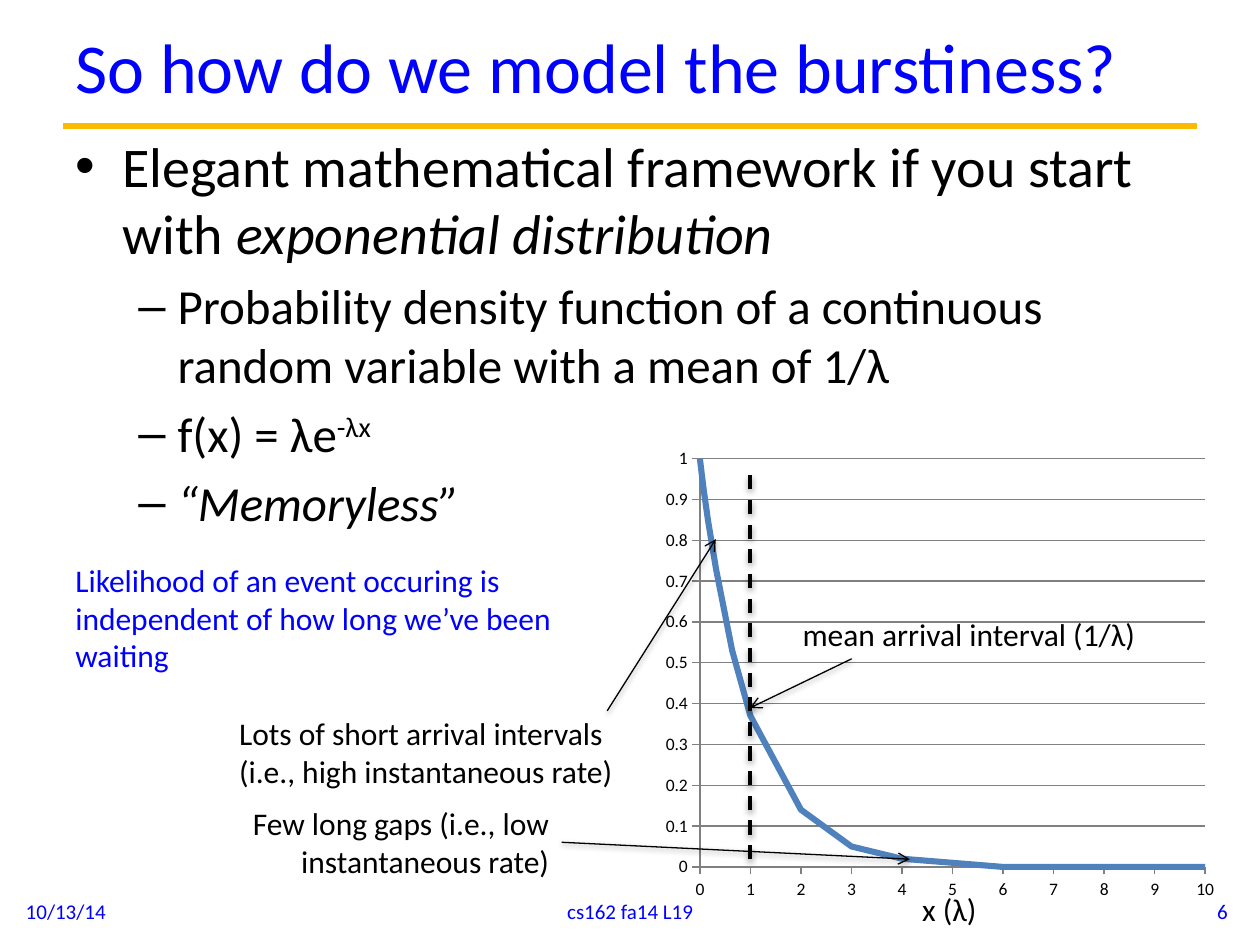
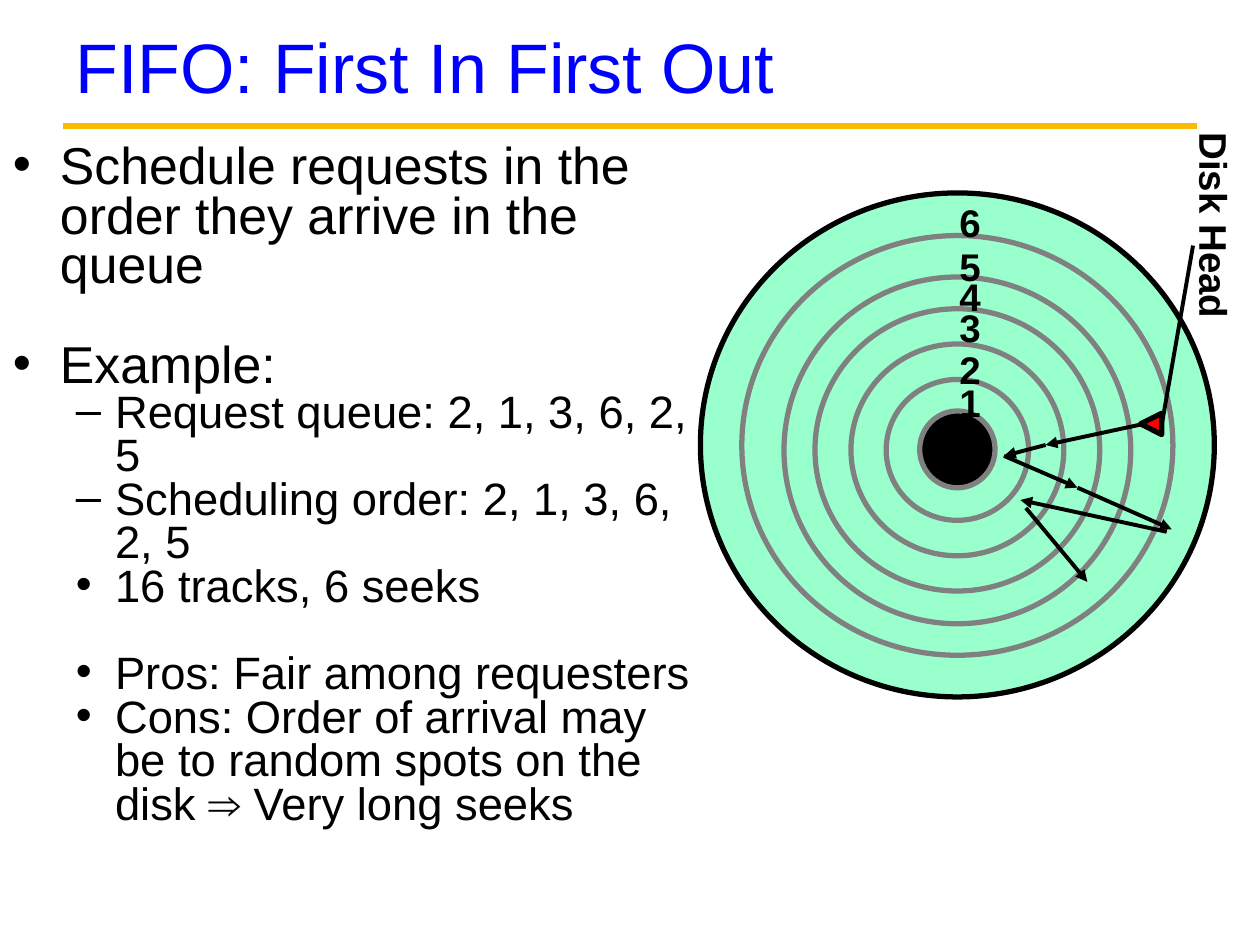
"""Build two lecture slides: the exponential arrival model and FIFO disk scheduling."""
import itertools
import math

import lxml.etree
import pptx
import pptx.chart.data
import pptx.dml.color
import pptx.enum.chart
import pptx.enum.dml
import pptx.enum.shapes
import pptx.enum.text
import pptx.oxml.ns
import pptx.util

Cm, Pt = pptx.util.Cm, pptx.util.Pt
qn = pptx.oxml.ns.qn
SHAPE = pptx.enum.shapes.MSO_SHAPE
ALIGN = pptx.enum.text.PP_ALIGN
ANCHOR = pptx.enum.text.MSO_ANCHOR

BLUE, BLACK, GOLD = "0000FF", "000000", "FBBA03"
GREY, MINT, RED, CURVE = "808080", "99FFCC", "FF0000", "4F81BD"

TITLE_BOX = (1.27, 0.1, 22.86, 2.44)
INDENTS = [(0.95, -0.95), (2.06, -0.79)]

MODEL_BULLETS = [
    (0, "•", 0, [("Elegant mathematical framework if you start with ", ""),
                 ("exponential distribution", "italic")]),
    (1, "–", 0, [("Probability density function of a continuous random variable "
                  "with a mean of 1/λ", "")]),
    (1, "–", 0, [("f(x) = λe", ""), ("-λx", "super")]),
    (1, "–", 0, [("“Memoryless”", "italic")]),
]
FOOTERS = [
    ("10/13/14", 0.27, 5.92, ALIGN.LEFT),
    ("cs162 fa14 L19", 8.68, 8.05, ALIGN.CENTER),
    ("6", 19.08, 5.92, ALIGN.RIGHT),
]
CHART_BOX = (13.2, 8.87, 11.51, 9.45)
PLOT_LAYOUT = {"x": 0.079, "y": 0.04, "w": 0.885, "h": 0.871}
ARRIVALS = [0] + [0.01 * 2 ** i for i in range(7)] + list(range(1, 9)) + [10]
MEAN_LINE = ((15.12, 17.32), (15.12, 9.53))
SHORT_ARROW = ((12.24, 14.33), (14.43, 10.87))
MEAN_ARROW = ((17.17, 13.28), (15.12, 14.27))
LONG_ARROW = ((11.32, 16.98), (18.34, 17.32))
MODEL_NOTES = [
    ("mean arrival interval (1/λ)", (15.93, 12.27, 7.32, 1.02), BLACK, False),
    ("Lots of short arrival intervals (i.e., high instantaneous rate)",
     (4.57, 14.27, 8.53, 1.8), BLACK, True),
    ("Likelihood of an event occuring is independent of how long we’ve been waiting",
     (1.27, 11.18, 10.62, 2.57), BLUE, True),
    ("x (λ)", (18.34, 17.81, 1.63, 1.02), BLACK, False),
]
LONG_GAPS = ("Few long gaps (i.e., low instantaneous rate)", (2.79, 16.08, 8.53, 1.8))

FIFO_BULLETS = [
    (0, "•", 0, [("Schedule requests in the order they arrive in the queue", "")]),
    (0, "•", 28.5, [("Example:", "")]),
    (1, "–", 0, [("Request queue: 2, 1, 3, 6, 2, 5", "")]),
    (1, "–", 0, [("Scheduling order: 2, 1, 3, 6, 2, 5", "")]),
    (1, "•", 0, [("16 tracks, 6 seeks", "")]),
    (1, "•", 25, [("Pros: Fair among requesters", "")]),
    (1, "•", 0, [("Cons: Order of arrival may be to random spots on the disk "
                  "⇒ Very long seeks", "")]),
]
DISK_X = 19.3
TRACKS = [
    (10.36, 10.16, 8.97, MINT, BLACK),
    (8.69, 8.46, 8.98, MINT, GREY),
    (6.99, 6.99, 9.08, MINT, GREY),
    (5.74, 5.69, 9.07, MINT, GREY),
    (4.29, 4.27, 9.07, MINT, GREY),
    (2.87, 2.84, 9.07, MINT, GREY),
    (1.52, 1.55, 9.06, BLACK, GREY),
]
TRACK_LABELS = {"6": 3.89, "5": 4.78, "4": 5.38, "3": 6.01, "2": 6.86, "1": 7.52}
HEAD_BOX = (22.99, 8.33, 0.43, 0.43)
HEAD_POINTER = ((24.05, 4.95), (23.42, 8.56))
OUTWARD_SEEKS = [(22.99, 8.56), (21.08, 8.97), (20.24, 9.19), (21.72, 9.83), (23.62, 10.67)]
LAST_SEEKS = [((23.52, 10.72), (20.57, 10.08)), ((20.68, 10.24), (21.92, 11.73))]


def color(value):
    return pptx.dml.color.RGBColor.from_string(value)


def add_xml(parent, tag, **attrs):
    return lxml.etree.SubElement(parent, qn(tag), attrs)


def box(values):
    return [Cm(v) for v in values]


def add_run(p, text, font, size, hue, style=""):
    r = p.add_run()
    r.text = text
    r.font.name, r.font.size = font, Pt(size)
    r.font.color.rgb = color(hue)
    if style == "bold":
        r.font.bold = True
    elif style == "italic":
        r.font.italic = True
    elif style == "super":
        r.font._element.set("baseline", "30000")


def add_text(slide, place, text, font, size, hue, align=ALIGN.LEFT, wrap=True,
             anchor=ANCHOR.TOP, style=""):
    sp = slide.shapes.add_textbox(*box(place))
    tf = sp.text_frame
    tf.word_wrap, tf.vertical_anchor = wrap, anchor
    p = tf.paragraphs[0]
    p.alignment = align
    add_run(p, text, font, size, hue, style)
    return sp


def add_bullets(slide, place, bullets, font, sizes, spacing, before):
    tf = slide.shapes.add_textbox(*box(place)).text_frame
    tf.word_wrap = True
    for i, (level, mark, gap, runs) in enumerate(bullets):
        p = tf.add_paragraph() if i else tf.paragraphs[0]
        p.level, p.line_spacing = level, spacing
        p.space_before = Pt(gap + before * sizes[level])
        pPr = p._p.get_or_add_pPr()
        left, hang = INDENTS[level]
        pPr.set("marL", str(Cm(left)))
        pPr.set("indent", str(Cm(hang)))
        add_xml(pPr, "a:buFont", typeface="Arial")
        add_xml(pPr, "a:buChar", char=mark)
        for text, style in runs:
            add_run(p, text, font, sizes[level], BLACK, style)


def add_line(slide, ends, hue, width, arrow=None, dashed=False, shadow=False):
    start, end = ends
    line = slide.shapes.add_connector(pptx.enum.shapes.MSO_CONNECTOR.STRAIGHT,
                                      *box(start + end))
    line.line.color.rgb = color(hue)
    line.line.width = Pt(width)
    if dashed:
        line.line.dash_style = pptx.enum.dml.MSO_LINE.DASH
    spPr = line._element.spPr
    if arrow:
        add_xml(spPr.find(qn("a:ln")), "a:tailEnd", type=arrow)
    effects = add_xml(spPr, "a:effectLst")
    if shadow:
        cast = add_xml(effects, "a:outerShdw", blurRad="40000", dist="20000",
                       dir="5400000", rotWithShape="0")
        add_xml(add_xml(cast, "a:srgbClr", val=BLACK), "a:alpha", val="38000")
    return line


def add_shape(slide, kind, place, fill, outline):
    sp = slide.shapes.add_shape(kind, *box(place))
    sp.shadow.inherit = False
    sp.fill.solid()
    sp.fill.fore_color.rgb = color(fill)
    sp.line.color.rgb = color(outline)
    sp.line.width = Pt(3)
    return sp


def add_slide(prs, title, font):
    slide = prs.slides.add_slide(prs.slide_layouts[6])
    add_line(slide, ((1.27, 2.54), (24.13, 2.54)), GOLD, 3.75)
    add_text(slide, TITLE_BOX, title, font, 40, BLUE, anchor=ANCHOR.MIDDLE)
    return slide


def add_density_chart(slide):
    data = pptx.chart.data.XyChartData()
    points = data.add_series("Series 1")
    for x in ARRIVALS:
        points.add_data_point(round(x, 2), round(math.exp(-x), 2))
    kind = pptx.enum.chart.XL_CHART_TYPE.XY_SCATTER_LINES_NO_MARKERS
    chart = slide.shapes.add_chart(kind, *box(CHART_BOX), data).chart
    chart.has_legend = chart.has_title = False
    chart.font.name, chart.font.size = "Calibri", Pt(10)
    chart.font.color.rgb = color(BLACK)
    plot = chart.plots[0]
    plot.vary_by_categories = False
    series = plot.series[0]
    series.smooth = False
    series.format.line.color.rgb = color(CURVE)
    series.format.line.width = Pt(3.5)
    for axis, top, step in ((chart.category_axis, 10, 1), (chart.value_axis, 1, 0.1)):
        axis.minimum_scale, axis.maximum_scale, axis.major_unit = 0, top, step
        axis.major_tick_mark = pptx.enum.chart.XL_TICK_MARK.OUTSIDE
        axis.tick_labels.number_format = "General"
        axis.tick_labels.number_format_is_linked = False
        axis.format.line.color.rgb = color(GREY)
    chart.category_axis.has_major_gridlines = False
    chart.value_axis.major_gridlines.format.line.color.rgb = color(GREY)
    area = chart._chartSpace.chart.plotArea
    for old in area.findall(qn("c:layout")):
        area.remove(old)
    layout = add_xml(area, "c:layout")
    area.insert(0, layout)
    manual = add_xml(layout, "c:manualLayout")
    add_xml(manual, "c:layoutTarget", val="inner")
    for side in "xy":
        add_xml(manual, f"c:{side}Mode", val="edge")
    for name, share in PLOT_LAYOUT.items():
        add_xml(manual, f"c:{name}", val=str(share))


def build_model_slide(prs):
    slide = add_slide(prs, "So how do we model the burstiness?", "Calibri")
    add_bullets(slide, (1.27, 2.53, 22.86, 14.48), MODEL_BULLETS, "Calibri", (32, 28), 1.0, 0.2)
    for text, left, width, align in FOOTERS:
        add_text(slide, (left, 17.86, width, 1.02), text, "Calibri", 12, BLUE, align,
                 anchor=ANCHOR.MIDDLE)
    add_density_chart(slide)
    add_line(slide, MEAN_LINE, BLACK, 2, dashed=True, shadow=True)
    for text, place, hue, wrap in MODEL_NOTES:
        add_text(slide, place, text, "Calibri", 18, hue, wrap=wrap)
    text, place = LONG_GAPS
    long_gaps = add_text(slide, place, text, "Calibri", 18, BLACK, ALIGN.RIGHT)
    for ends in (SHORT_ARROW, MEAN_ARROW):
        add_line(slide, ends, BLACK, 0.75, "arrow", shadow=True)
    long_arrow = add_line(slide, LONG_ARROW, BLACK, 0.75, "arrow", shadow=True)
    long_arrow.begin_connect(long_gaps, 3)


def build_fifo_slide(prs):
    slide = add_slide(prs, "FIFO: First In First Out", "Arial")
    add_bullets(slide, (0.01, 2.79, 14.17, 14.86), FIFO_BULLETS, "Arial", (29.6, 25.9), 0.8, 0)
    for width, height, middle, fill, outline in TRACKS:
        place = (DISK_X - width / 2, middle - height / 2, width, height)
        add_shape(slide, SHAPE.OVAL, place, fill, outline)
    for track, top in TRACK_LABELS.items():
        add_text(slide, (19.09, top, 0.94, 1.04), track, "Arial", 22, BLACK,
                 wrap=False, style="bold")
    label = add_text(slide, (21.88, 4.38, 5.16, 1.24), "Disk Head", "Arial", 22, BLACK,
                     style="bold")
    label.rotation = 90
    add_shape(slide, SHAPE.ISOSCELES_TRIANGLE, HEAD_BOX, RED, BLACK).rotation = 270
    add_line(slide, HEAD_POINTER, BLACK, 2.25)
    for seek in itertools.chain(itertools.pairwise(OUTWARD_SEEKS), LAST_SEEKS):
        add_line(slide, seek, BLACK, 2.25, "triangle")


def main():
    prs = pptx.Presentation()
    prs.slide_width, prs.slide_height = Cm(25.4), Cm(19.05)
    build_model_slide(prs)
    build_fifo_slide(prs)
    prs.save("out.pptx")


if __name__ == "__main__":
    main()
